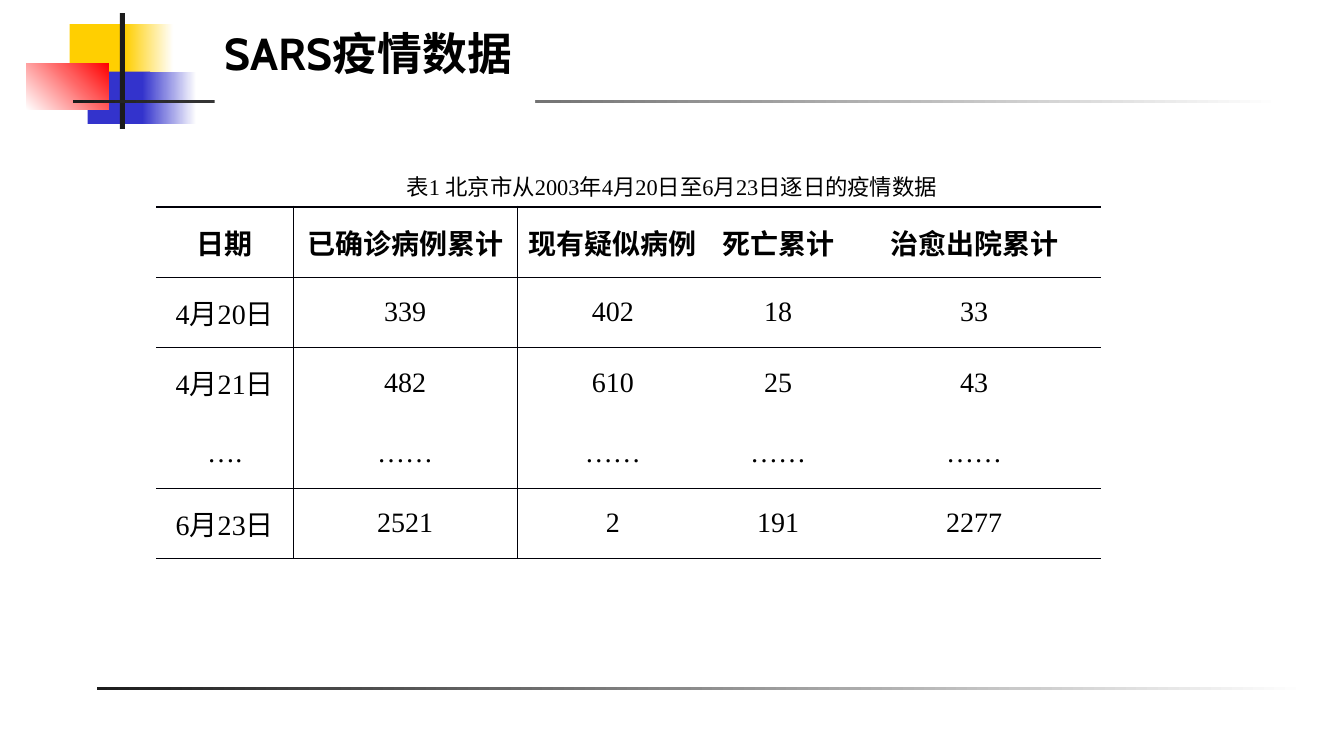
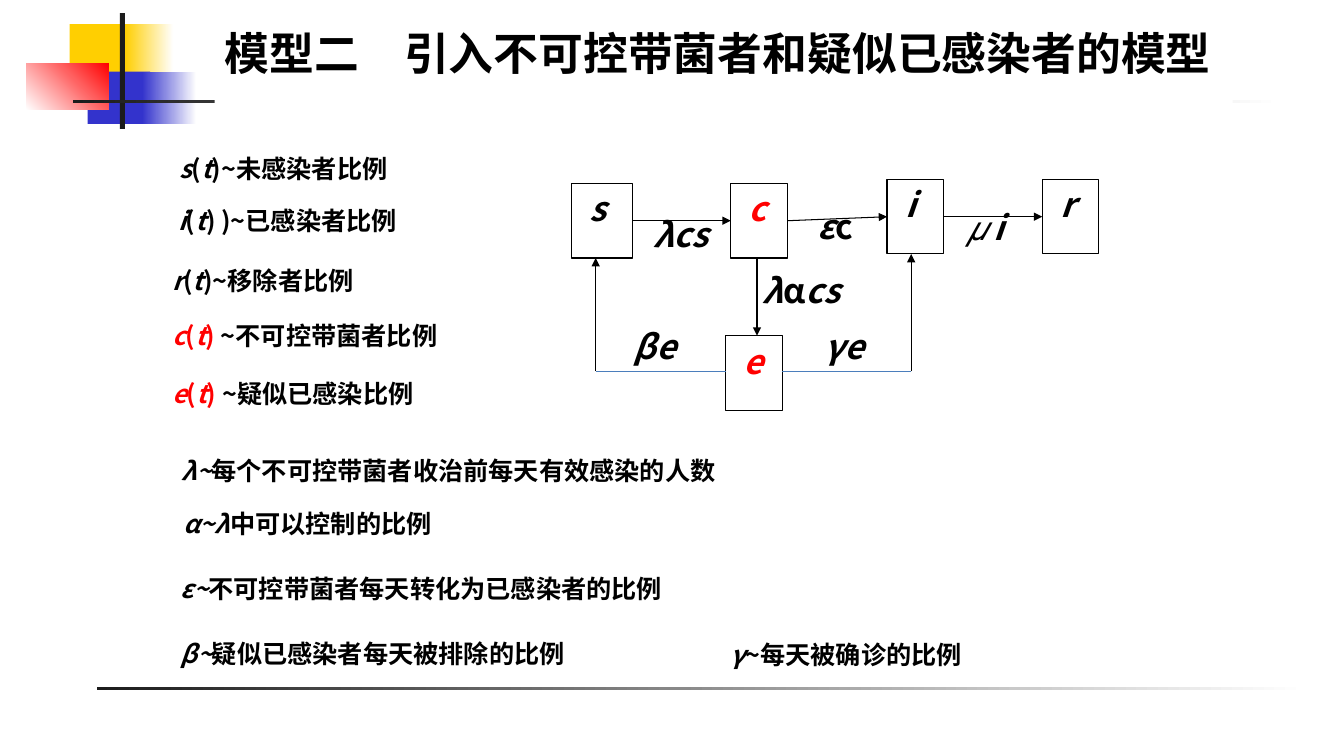
from lxml import etree
from pptx import Presentation
from pptx.dml.color import RGBColor
from pptx.enum.shapes import MSO_CONNECTOR, MSO_SHAPE
from pptx.enum.text import MSO_ANCHOR, MSO_AUTO_SIZE, PP_ALIGN
from pptx.oxml.ns import qn
from pptx.util import Emu, Inches, Pt

RECT = MSO_SHAPE.RECTANGLE
STRAIGHT = MSO_CONNECTOR.STRAIGHT
TOP, MIDDLE = MSO_ANCHOR.TOP, MSO_ANCHOR.MIDDLE
LEFT, CENTER = PP_ALIGN.LEFT, PP_ALIGN.CENTER
GROW = MSO_AUTO_SIZE.SHAPE_TO_FIT_TEXT

# The slide is a grid of square cells; every length below counts cells.
COLS, ROWS = 80, 45
CELL = Inches(7.5) // ROWS

COLORS = {
    "text": "000000", "paper": "FFFFFF", "key": "FF0000", "ink": "1C1C1C",
    "yellow": "FFCF01", "blue": "3333CC", "rule": "000008", "feedback": "4B7EBC",
}
TITLE_FONT, SANS, SERIF = "Cabin", "Noto Sans CJK SC", "Times New Roman"
NO_TABLE_STYLE = "{2D5ABB26-0587-4C30-8999-92F81FD0307C}"
LEFT_SITE, RIGHT_SITE = 1, 3


def cells(*lengths):
    return [Emu(round(length * CELL)) for length in lengths]


def rgb(name):
    return RGBColor.from_string(COLORS[name])


def add_run(paragraph, text, size, font=SANS, bold=False, italic=False, color="text"):
    run = paragraph.add_run()
    run.text = text
    run.font.size, run.font.name = Pt(size), font
    run.font.bold, run.font.italic = bold, italic
    run.font.color.rgb = rgb(color)
    east_asian = etree.SubElement(run.font._element, qn("a:ea"))
    east_asian.set("typeface", SANS)


def add_symbols(paragraph, runs, size):
    """Add bold runs given as (text, italic, color)."""
    for text, italic, color in runs:
        add_run(paragraph, text, size, bold=True, italic=italic, color=color)


def add_text_box(slide, left, top, width, height):
    frame = slide.shapes.add_textbox(*cells(left, top, width, height)).text_frame
    frame.word_wrap = True
    return frame


def add_block(slide, place, start, end=None, angle=0):
    """Add a borderless rectangle, plain or fading from start to end."""
    block = slide.shapes.add_shape(RECT, *cells(*place))
    block.shadow.inherit = False
    block.line.fill.background()
    if end is None:
        block.fill.solid()
        block.fill.fore_color.rgb = rgb(start)
    else:
        block.fill.gradient()
        block.fill.gradient_angle = angle
        for stop, position, color in zip(block.fill.gradient_stops, (0, 1), (start, end)):
            stop.position = position
            stop.color.rgb = rgb(color)
    return block


def decorate_layout(layout, slide):
    """Draw the emblem and rules on a slide, then move them to its layout."""
    side = 3.12
    blocks = [
        add_block(slide, (4.14, 1.44, 3.84, side), "yellow"),
        add_block(slide, (7.44, 1.44, 2.88, side), "yellow", "paper"),
        add_block(slide, (5.22, 4.26, 3.72, side), "blue"),
        add_block(slide, (8.46, 4.26, 3.24, side), "blue", "paper"),
        add_block(slide, (1.56, 3.78, 4.92, 2.76), "paper", "key", 45),
        add_block(slide, (7.14, 0.78, 0.3, 6.9), "ink"),
        add_block(slide, (4.32, 5.94, 72, 0.18), "ink", "paper"),
        add_block(slide, (5.76, 40.92, 72, 0.18), "ink", "paper"),
    ]
    for block in blocks:
        layout.shapes.element.append(block.element)


def set_title(slide, text, width):
    title = slide.shapes.title
    title.left, title.top, title.width, title.height = cells(12.78, 1.26, width, 3.84)
    title.fill.solid()
    title.fill.fore_color.rgb = rgb("paper")
    frame = title.text_frame
    frame.word_wrap, frame.auto_size, frame.vertical_anchor = False, GROW, TOP
    paragraph = frame.paragraphs[0]
    paragraph.alignment = LEFT
    add_run(paragraph, text, 32, TITLE_FONT, bold=True)


def add_border(cell, side, width):
    border = etree.SubElement(cell._tc.get_or_add_tcPr(), qn(f"a:ln{side}"), w=str(Pt(width)))
    fill = etree.SubElement(border, qn("a:solidFill"))
    etree.SubElement(fill, qn("a:srgbClr"), val=COLORS["rule"])


def add_case_table(slide, records):
    widths, row_height = (8.16, 13.32, 11.4, 8.28, 15.06), 4.19
    place = cells(9.3, 12.3, sum(widths), row_height * len(records))
    table = slide.shapes.add_table(len(records), len(widths), *place).table
    table.first_row = table.horz_banding = False
    table._tbl.tblPr.find(qn("a:tableStyleId")).text = NO_TABLE_STYLE
    for column, width in zip(table.columns, cells(*widths)):
        column.width = width
    last = len(records)
    rules = {0: 1.5, 1: 0.5, last - 1: 0.5, last: 0.5}  # row boundary: points
    for r, record in enumerate(records):
        table.rows[r].height = cells(row_height)[0]
        for c, value in enumerate(record):
            cell = table.cell(r, c)
            borders = {"L": 0.5 if c == 1 else None, "R": 0.5 if c == 0 else None,
                       "T": rules.get(r), "B": rules.get(r + 1)}
            for side, width in borders.items():
                if width:
                    add_border(cell, side, width)
            cell.fill.background()
            cell.vertical_anchor = MIDDLE
            cell.margin_left, cell.margin_right, cell.margin_top, cell.margin_bottom = cells(
                0.42, 0.42, 0, 0)
            paragraph = cell.text_frame.paragraphs[0]
            paragraph.alignment = CENTER
            add_run(paragraph, value, 20, SERIF, bold=r == 0)


def add_definition(slide, left, top, width, runs):
    frame = add_text_box(slide, left, top, width, 2.42)
    add_symbols(frame.paragraphs[0], runs, 18)


def add_rate(slide, left, top, width, runs):
    """Label a flow of the diagram."""
    paragraph = add_text_box(slide, left, top, width, 3.72).paragraphs[0]
    paragraph.line_spacing = Pt(10)
    add_symbols(paragraph, runs, 24)


def add_compartment(slide, symbol, left, top, width=3.36, color="text"):
    box = slide.shapes.add_shape(RECT, *cells(left, top, width, 4.44))
    box.shadow.inherit = False
    box.fill.background()
    box.line.color.rgb, box.line.width = rgb("text"), Pt(0.75)
    frame = box.text_frame
    frame.vertical_anchor = TOP
    frame.margin_left, frame.margin_right = cells(1.08, 0)
    frame.paragraphs[0].alignment = LEFT
    add_symbols(frame.paragraphs[0], [(symbol, True, color)], 24)
    return box


def add_line(slide, start, end, color="text", arrow=True):
    line = slide.shapes.add_connector(STRAIGHT, *cells(*start, *end))
    line.line.color.rgb, line.line.width = rgb(color), Pt(0.75)
    properties = line.element.spPr
    if arrow:
        etree.SubElement(properties.find(qn("a:ln")), qn("a:tailEnd"), type="triangle")
    etree.SubElement(properties, qn("a:effectLst"))
    return line


def add_flow(slide, source, target):
    """Link two neighbouring compartments."""
    flow = add_line(slide, (0, 0), (1, 1))
    flow.begin_connect(source, RIGHT_SITE)
    flow.end_connect(target, LEFT_SITE)


def add_diagram(slide):
    rates = [
        (48.48, 20.64, 6.06, [("γe", True, "text")]),
        (44.82, 17.34, 8.28, [("λ", True, "text"), ("α", False, "text"), ("cs", True, "text")]),
        (37.14, 20.64, 6.06, [("βe", True, "text")]),
        (57, 13.56, 5.58, [("𝜇 i", True, "text")]),
        (48.06, 13.5, 5.58, [("ε", True, "text"), ("c", False, "text")]),
        (38.28, 13.98, 6.12, [("λcs", True, "text")]),
    ]
    for rate in rates:
        add_rate(slide, *rate)
    chain = [
        add_compartment(slide, "s", 34.02, 10.92, width=3.66),
        add_compartment(slide, "c", 43.5, 10.92, color="key"),
        add_compartment(slide, "i", 52.8, 10.68),
        add_compartment(slide, "r", 62.04, 10.68),
    ]
    add_compartment(slide, "e", 43.2, 19.98, color="key")
    for source, target in zip(chain, chain[1:]):
        add_flow(slide, source, target)
    add_line(slide, (45.06, 15.36), (45.06, 19.98))
    feedback_row = 22.1
    for inner, outer, tip in ((43.2, 35.46, 15.36), (46.56, 54.24, 15.12)):
        add_line(slide, (inner, feedback_row), (outer, feedback_row), "feedback", arrow=False)
        add_line(slide, (outer, feedback_row), (outer, tip))


def add_definitions(slide):
    states = [
        (10.08, 8.82, 20.88, "s", ")", "~未感染者比例", "text"),
        (10.02, 11.94, 20.58, "i", ") )", "~已感染者比例", "text"),
        (9.66, 15.48, 16.68, "r", ")", "~移除者比例", "text"),
        (9.66, 18.78, 23.7, "c", ") ", "~不可控带菌者比例", "key"),
        (9.66, 22.2, 23.28, "e", ") ", "~疑似已感染比例", "key"),
    ]
    for left, top, width, symbol, closing, meaning, color in states:
        add_definition(slide, left, top, width, [
            (symbol, True, color), ("(", False, color), ("t", True, color),
            (closing, False, color), (meaning, False, "text")])
    parameters = [
        (10.2, 26.82, 49.14, "λ~", "每个不可控带菌者收治前每天有效感染的人数"),
        (10.32, 29.94, 17.22, "α~λ", "中可以控制的比例"),
        (10.14, 33.84, 46.92, "ε~", "不可控带菌者每天转化为已感染者的比例"),
        (10.14, 37.68, 36.42, "β~", "疑似已感染者每天被排除的比例"),
        (42.9, 37.74, 15.96, "γ", "~每天被确诊的比例"),
    ]
    for left, top, width, symbol, meaning in parameters:
        add_definition(slide, left, top, width,
                       [(symbol, True, "text"), (meaning, False, "text")])


def build_data_slide(slide):
    set_title(slide, "SARS疫情数据", 19.08)
    caption = add_text_box(slide, 9.3, 9.24, 61.38, 3).paragraphs[0]
    caption.alignment, caption.line_spacing = CENTER, 1.5
    add_run(caption, "表", 16)
    add_run(caption, "1 北京市从2003年4月20日至6月23日逐日的疫情数据", 16, SERIF)
    add_case_table(slide, [
        ("日期", "已确诊病例累计", "现有疑似病例", "死亡累计", "治愈出院累计"),
        ("4月20日", "339", "402", "18", "33"),
        ("4月21日", "482", "610", "25", "43"),
        ("….", "……", "……", "……", "……"),
        ("6月23日", "2521", "2", "191", "2277"),
    ])


def build_model_slide(slide):
    set_title(slide, "模型二　引入不可控带菌者和疑似已感染者的模型", 60.6)
    add_diagram(slide)
    add_definitions(slide)


def main():
    deck = Presentation()
    deck.slide_width, deck.slide_height = cells(COLS, ROWS)
    title_only = deck.slide_layouts[5]
    data_slide, model_slide = (deck.slides.add_slide(title_only) for _ in range(2))
    decorate_layout(title_only, data_slide)
    build_data_slide(data_slide)
    build_model_slide(model_slide)
    deck.save("out.pptx")


if __name__ == "__main__":
    main()
